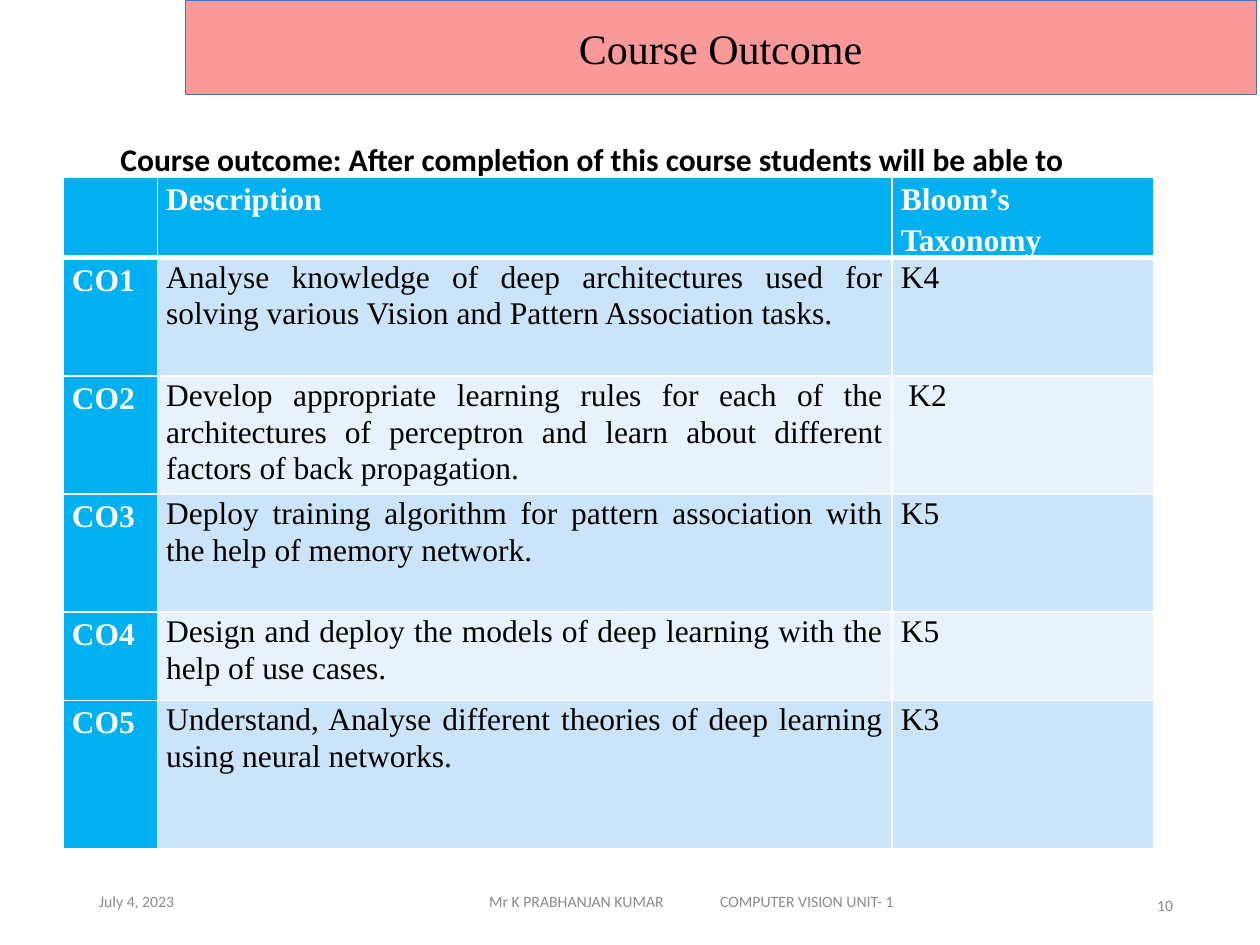
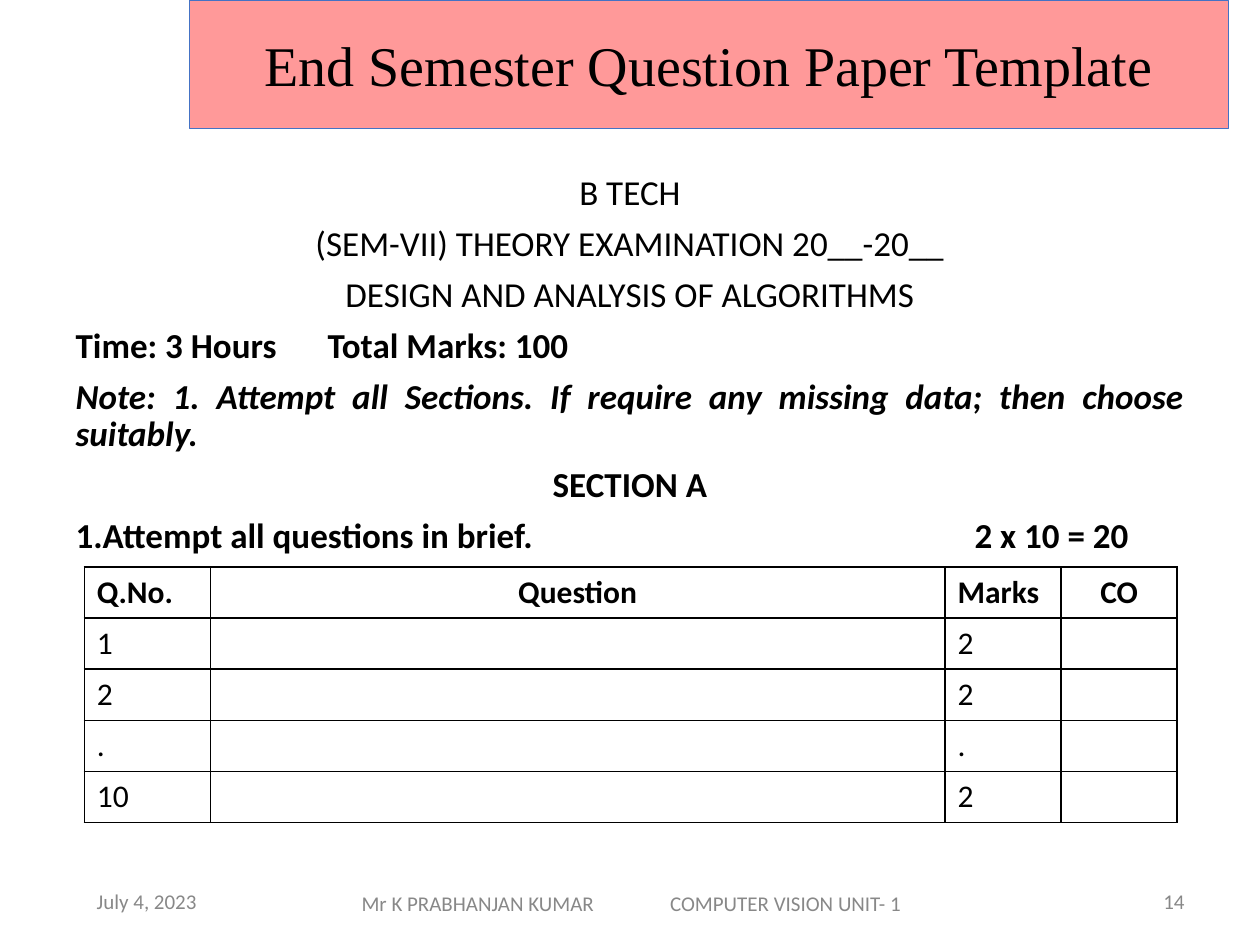
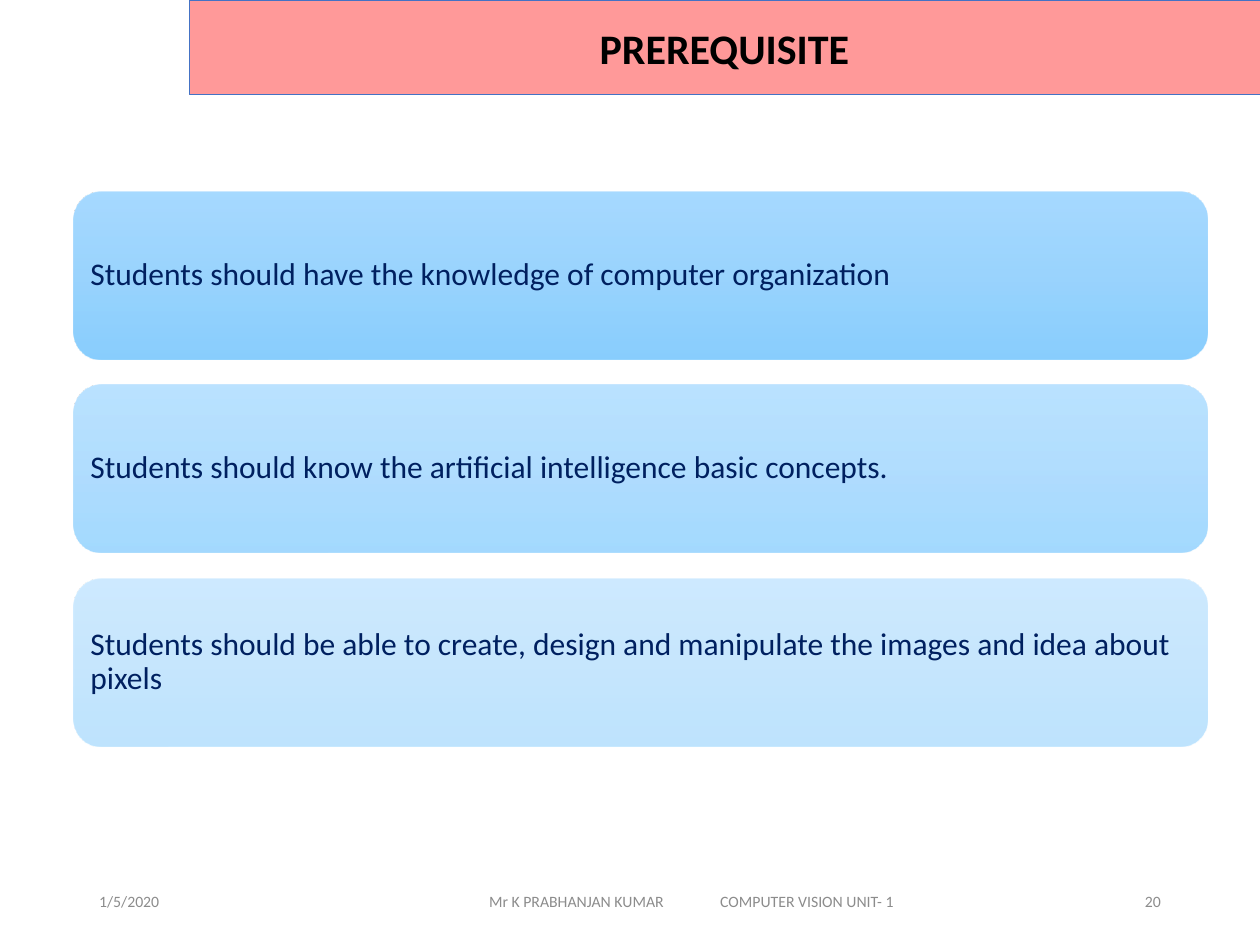
import lxml.etree
import pptx
import pptx.dml.color
import pptx.enum.shapes
import pptx.enum.text
import pptx.oxml.ns
import pptx.util

Cm = pptx.util.Cm
Pt = pptx.util.Pt
RGBColor = pptx.dml.color.RGBColor
ALIGN = pptx.enum.text.PP_ALIGN
MIDDLE = pptx.enum.text.MSO_ANCHOR.MIDDLE

BLACK = RGBColor(0x00, 0x00, 0x00)
WHITE = RGBColor(0xFF, 0xFF, 0xFF)
ROSE = RGBColor(0xF9, 0x99, 0x99)
PINK = RGBColor(0xFF, 0x99, 0x99)
BAND_EDGE = RGBColor(0x44, 0x72, 0xC4)
SKY = RGBColor(0x00, 0xB0, 0xF0)
ROW_TINTS = RGBColor(0xCC, 0xE4, 0xF9), RGBColor(0xE7, 0xF2, 0xFC)
NAVY = RGBColor(0x00, 0x20, 0x60)
GREY = RGBColor(0x8C, 0x8C, 0x8C)
DARK_GREY = RGBColor(0x88, 0x88, 0x88)
CARD_STOPS = (0, RGBColor(0x9E, 0xD6, 0xFF)), (50, RGBColor(0x90, 0xCF, 0xFD)), (100, RGBColor(0x7C, 0xC9, 0xFD))
SANS, SERIF = "Calibri", "Times New Roman"

FOOTER = "Mr K PRABHANJAN KUMAR\tCOMPUTER VISION UNIT- 1"

OUTCOME_LEAD = "Course outcome: After completion of this course students will be able to"
OUTCOME_COLUMNS = [1.9, 14.81, 5.28]
OUTCOME_ROWS = [1.6, 2.38, 2.38, 2.38, 1.78, 3.0]
OUTCOMES = [
    ("", "Description", "Bloom’s Taxonomy"),
    ("CO1", "Analyse knowledge of deep architectures used for solving various Vision and "
            "Pattern Association tasks.", "K4"),
    ("CO2", "Develop appropriate learning rules for each of the architectures of perceptron "
            "and learn about different factors of back propagation.", "K2"),
    ("CO3", "Deploy training algorithm for pattern association with the help of memory network.", "K5"),
    ("CO4", "Design and deploy the models of deep learning with the help of use cases.", "K5"),
    ("CO5", "Understand, Analyse different theories of deep learning using neural networks.", "K3"),
]

PAPER_LINES = [
    dict(text="B TECH", align=ALIGN.CENTER),
    dict(text="(SEM-VII) THEORY EXAMINATION 20__-20__", align=ALIGN.CENTER),
    dict(text="DESIGN AND ANALYSIS OF ALGORITHMS", align=ALIGN.CENTER),
    dict(text="Time: 3 Hours\tTotal Marks: 100", bold=True, tab=22.28),
    dict(text="Note: 1. Attempt all Sections. If require any missing data; then choose suitably.",
         align=ALIGN.JUSTIFY, bold=True, italic=True),
    dict(text="SECTION A", align=ALIGN.CENTER, bold=True),
    dict(text="Attempt all questions in brief.\t2 x 10 = 20", bold=True, tab=21.23, numbered=True),
]
QUESTION_COLUMNS = [2.54, 14.81, 2.34, 2.34]
QUESTION_ROWS = [1.03] * 5
QUESTIONS = [
    ("Q.No.", "Question", "Marks", "CO"),
    ("1", "", "2", ""),
    ("2", "", "2", ""),
    (".", "", ".", ""),
    ("10", "", "2", ""),
]

PREREQUISITES = [
    "Students should have the knowledge of computer organization",
    "Students should know the artificial intelligence basic concepts.",
    "Students should be able to create, design and manipulate the images and idea about pixels",
]
CARD_OPACITIES = [90, 70, 50]


def add_element(parent, tag, **attributes):
    element = lxml.etree.SubElement(parent, pptx.oxml.ns.qn(tag))
    for key, value in attributes.items():
        element.set(key, str(value))
    return element


def add_tab(paragraph, position, align):
    stops = add_element(paragraph._p.get_or_add_pPr(), "a:tabLst")
    add_element(stops, "a:tab", pos=Cm(position), algn=align)


def write(paragraph, text, size, color, font=SANS, bold=False, italic=False, align=ALIGN.LEFT, spacing=None):
    paragraph.alignment = align
    if spacing:
        paragraph.line_spacing = spacing
    if text:
        run = paragraph.add_run()
        run.text = text
        run.font.size = Pt(size)
        run.font.name = font
        run.font.bold = bold
        run.font.italic = italic
        run.font.color.rgb = color


def place(shape, left, top, width, height):
    shape.left, shape.top, shape.width, shape.height = map(Cm, (left, top, width, height))


def add_label(slide, box, text, size, color, align=ALIGN.LEFT, margin=0.25, tab=None):
    frame = slide.shapes.add_textbox(*map(Cm, box)).text_frame
    frame.word_wrap = True
    frame.vertical_anchor = MIDDLE
    frame.margin_left = Cm(margin)
    if tab:
        add_tab(frame.paragraphs[0], tab, "l")
    write(frame.paragraphs[0], text, size, color, align=align)


def add_footers(slide, date, number, date_box=(1.75, 17.65, 5.72, 1.02), footer_box=(6.99, 17.65, 13.97, 1.02),
                number_box=(17.93, 17.65, 5.72, 1.02), size=9, color=GREY, margin=2.87, tab=4.66):
    add_label(slide, date_box, date, size, color)
    add_label(slide, footer_box, FOOTER, size, color, margin=margin, tab=tab)
    add_label(slide, number_box, number, size, color, ALIGN.RIGHT)


def add_banded_slide(deck, layout, title, box, fill=PINK, size=24, font=SERIF, bold=False):
    slide = deck.slides.add_slide(deck.slide_layouts[layout])
    band = slide.shapes.title
    place(band, *box)
    band.fill.solid()
    band.fill.fore_color.rgb = fill
    band.line.color.rgb = BAND_EDGE
    band.line.width = Pt(0.5)
    band.text_frame.auto_size = pptx.enum.text.MSO_AUTO_SIZE.NONE
    band.text_frame.vertical_anchor = MIDDLE
    write(band.text_frame.paragraphs[0], title, size, BLACK, font, bold, align=ALIGN.CENTER)
    return slide


def add_grid(slide, left, top, columns, rows):
    table = slide.shapes.add_table(len(rows), len(columns), Cm(left), Cm(top),
                                   Cm(sum(columns)), Cm(sum(rows))).table
    table.first_row = table.horz_banding = False
    for column, width in zip(table.columns, columns):
        column.width = Cm(width)
    for row, height in zip(table.rows, rows):
        row.height = Cm(height)
    return table


def dress_cell(cell, fill, edge, top=1, bottom=1):
    properties = cell._tc.get_or_add_tcPr()
    for side, width in (("L", 1), ("R", 1), ("T", top), ("B", bottom)):
        line = add_element(properties, "a:ln" + side, w=Pt(width))
        add_element(add_element(line, "a:solidFill"), "a:srgbClr", val=edge)
    cell.fill.solid()
    cell.fill.fore_color.rgb = fill


def build_outcomes(deck):
    slide = add_banded_slide(deck, 5, "Course Outcome", (3.73, 0, 21.59, 1.91), ROSE)
    table = add_grid(slide, 1.27, 3.58, OUTCOME_COLUMNS, OUTCOME_ROWS)
    for r, outcome in enumerate(OUTCOMES):
        for c, text in enumerate(outcome):
            cell = table.cell(r, c)
            heading = r == 0 or c == 0
            dress_cell(cell, SKY if heading else ROW_TINTS[(r - 1) % 2], WHITE,
                       top=3 if r == 1 else 1, bottom=3 if r == 0 else 1)
            cell.margin_left = Cm(0.33 if text == "K2" else 0.18)
            cell.margin_right = Cm(0.18)
            cell.margin_top = cell.margin_bottom = 0
            write(cell.text_frame.paragraphs[0], text, 18, WHITE if heading else BLACK, SERIF,
                  bold=heading, align=ALIGN.JUSTIFY, spacing=1.15 if heading else 1.06)
    lead = slide.shapes.add_textbox(Cm(2.18), Cm(2.59), Cm(23.22), Cm(1.14)).text_frame
    lead.word_wrap = True
    write(lead.paragraphs[0], OUTCOME_LEAD, 18, BLACK, bold=True, spacing=1.15)
    add_footers(slide, "July 4, 2023", "10", number_box=(17.98, 17.73, 5.92, 1.02))


def build_question_paper(deck):
    slide = add_banded_slide(deck, 1, "End Semester Question Paper Template", (3.81, 0, 20.96, 2.59), size=32)
    body = slide.placeholders[1]
    place(body, 1.27, 3.4, 22.86, 13.21)
    frame = body.text_frame
    frame.auto_size = pptx.enum.text.MSO_AUTO_SIZE.NONE
    for i, line in enumerate(PAPER_LINES):
        paragraph = frame.add_paragraph() if i else frame.paragraphs[0]
        numbered = line.get("numbered", False)
        indent = Cm(0.53) if numbered else 0
        properties = paragraph._p.get_or_add_pPr()
        properties.set("marL", str(indent))
        properties.set("indent", str(-indent))
        if numbered:
            add_element(properties, "a:buFont", typeface=SANS)
            add_element(properties, "a:buAutoNum", type="arabicPeriod")
        else:
            add_element(properties, "a:buNone")
        if "tab" in line:
            add_tab(paragraph, line["tab"], "r")
        paragraph.space_before = Pt(7.5 if i else 0)
        write(paragraph, line["text"], 20, BLACK, bold=line.get("bold", False),
              italic=line.get("italic", False), align=line.get("align", ALIGN.LEFT), spacing=0.9)
    table = add_grid(slide, 1.7, 11.43, QUESTION_COLUMNS, QUESTION_ROWS)
    for r, question in enumerate(QUESTIONS):
        for c, text in enumerate(question):
            cell = table.cell(r, c)
            dress_cell(cell, WHITE, BLACK)
            write(cell.text_frame.paragraphs[0], text, 18, BLACK, bold=r == 0,
                  align=ALIGN.CENTER if c in (1, 3) else ALIGN.LEFT)
    add_footers(slide, "July 4, 2023", "14", (1.7, 17.65, 3.81, 1.02), (6.53, 17.73, 12.52, 0.94),
                (18.21, 17.65, 5.92, 1.02), size=12, color=DARK_GREY, margin=0.76, tab=6.22)


def fill_card(card, opacity):
    card.fill.gradient()
    card.fill.gradient_angle = 270
    stops = card._element.spPr.find(".//" + pptx.oxml.ns.qn("a:gsLst"))
    for stop in list(stops):
        stops.remove(stop)
    for position, color in CARD_STOPS:
        stop = add_element(stops, "a:gs", pos=position * 1000)
        add_element(add_element(stop, "a:srgbClr", val=color), "a:alpha", val=opacity * 1000)


def build_prerequisites(deck):
    slide = add_banded_slide(deck, 5, "PREREQUISITE", (3.81, 0, 21.59, 1.91), font=SANS, bold=True)
    for i, (prerequisite, opacity) in enumerate(zip(PREREQUISITES, CARD_OPACITIES)):
        card = slide.shapes.add_shape(pptx.enum.shapes.MSO_SHAPE.ROUNDED_RECTANGLE,
                                      Cm(1.48), Cm(3.86 + 3.9 * i), Cm(22.86), Cm(3.38))
        card.shadow.inherit = False
        card.line.fill.background()
        fill_card(card, opacity)
        frame = card.text_frame
        frame.word_wrap = True
        frame.vertical_anchor = MIDDLE
        # The rounded corners already inset the text slightly.
        frame.margin_left = frame.margin_right = Cm(0.18)
        write(frame.paragraphs[0], prerequisite, 18, NAVY, spacing=0.9)
    add_footers(slide, "1/5/2020", "20")


def main():
    deck = pptx.Presentation()
    deck.slide_width, deck.slide_height = Cm(25.4), Cm(19.05)
    build_outcomes(deck)
    build_question_paper(deck)
    build_prerequisites(deck)
    deck.save("out.pptx")


if __name__ == "__main__":
    main()
